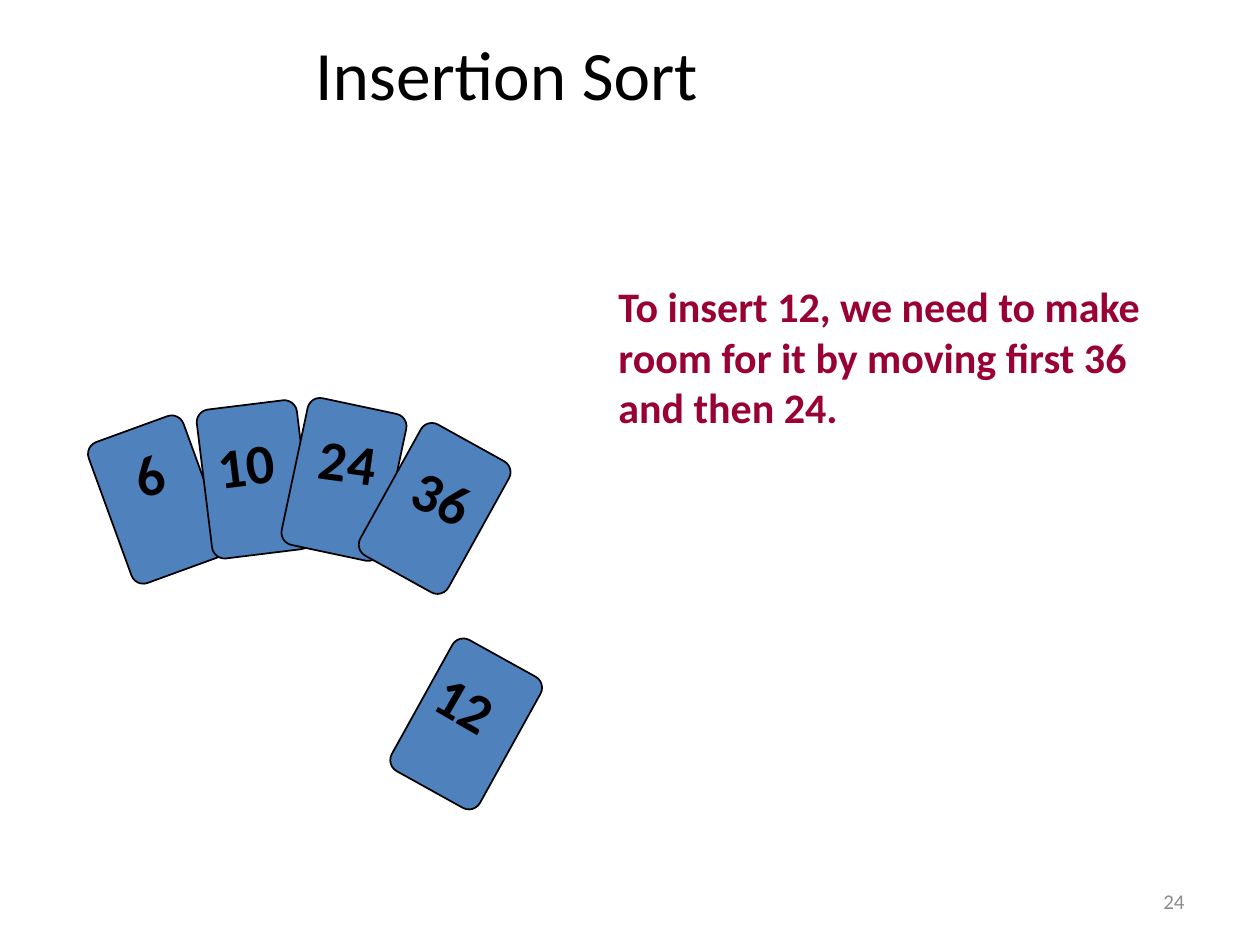
from dataclasses import dataclass
from pptx import Presentation
from pptx import util as u
from pptx.dml.color import RGBColor
from pptx.enum import shapes, text

W, H = u.Inches(10), u.Inches(7.5)
CARD_SIZE = (8, 15.87)
LABEL_HEIGHT = 8.4


@dataclass(frozen=True)
class Card:
    value: str
    corner: tuple[float, float]
    angle: float
    label_corner: tuple[float, float]
    label_angle: float


@dataclass(frozen=True)
class Style:
    size: float
    color: str = "000000"
    bold: bool = False
    align: text.PP_ALIGN = text.PP_ALIGN.LEFT
    anchor: text.MSO_ANCHOR = text.MSO_ANCHOR.TOP
    wrap: bool = True


CARDS = [
    Card("6", (8.5, 44.93), 340, (9.7, 45.87), 341),
    Card("10", (16.2, 42.8), 353, (16.3, 44.8), 353),
    Card("24", (23.3, 42.8), 12, (24.4, 44.53), 8),
    Card("12", (33, 68.67), 29, (33.7, 70.4), 30),
    Card("36", (30.5, 45.87), 29, (31.9, 48.4), 25),
]
TITLE = Style(39.6, align=text.PP_ALIGN.CENTER, anchor=text.MSO_ANCHOR.BOTTOM)
NOTE = Style(24, "990033", bold=True)
NUMBER = Style(12, "8C8C8C", align=text.PP_ALIGN.RIGHT, anchor=text.MSO_ANCHOR.MIDDLE)
LABEL = Style(32, bold=True, wrap=False)


def rgb(value: str) -> RGBColor:
    return RGBColor.from_string(value)


def area(x: float, y: float, w: float, h: float) -> tuple[int, int, int, int]:
    return tuple(round(share * side / 100) for share, side in zip((x, y, w, h), (W, H, W, H)))


def add_text(s, words: str, box: tuple, style: Style, angle: float = 0) -> None:
    sp = s.shapes.add_textbox(*area(*box))
    sp.rotation = angle
    tf = sp.text_frame
    tf.word_wrap = style.wrap
    tf.vertical_anchor = style.anchor
    p = tf.paragraphs[0]
    p.text = words
    p.alignment = style.align
    p.font.name = "Calibri"
    p.font.size = u.Pt(style.size)
    p.font.bold = style.bold
    p.font.color.rgb = rgb(style.color)


def add_card(s, card: Card) -> None:
    sp = s.shapes.add_shape(
        shapes.MSO_SHAPE.ROUNDED_RECTANGLE, *area(*card.corner, *CARD_SIZE)
    )
    sp.adjustments[0] = 0.125
    sp.rotation = card.angle
    sp.shadow.inherit = False
    sp.fill.solid()
    sp.fill.fore_color.rgb = rgb("4F81BD")
    sp.line.color.rgb = rgb("000000")
    sp.line.width = u.Pt(1)
    label_width = 2 + 2.5 * len(card.value)
    box = (*card.label_corner, label_width, LABEL_HEIGHT)
    add_text(s, card.value, box, LABEL, card.label_angle)


def main() -> None:
    prs = Presentation()
    prs.slide_width, prs.slide_height = W, H
    s = prs.slides.add_slide(prs.slide_layouts[6])
    add_text(s, "Insertion Sort", (5.6, 9.07, 69.2, 3.73), TITLE)
    add_text(s, "24", (71.7, 92.67, 23.3, 5.33), NUMBER)
    add_text(
        s,
        "To insert 12, we need to make room for it by moving first 36 and then 24.",
        (48.1, 29.07, 46.6, 17.33),
        NOTE,
    )
    for card in CARDS:
        add_card(s, card)
    prs.save("out.pptx")


if __name__ == "__main__":
    main()
